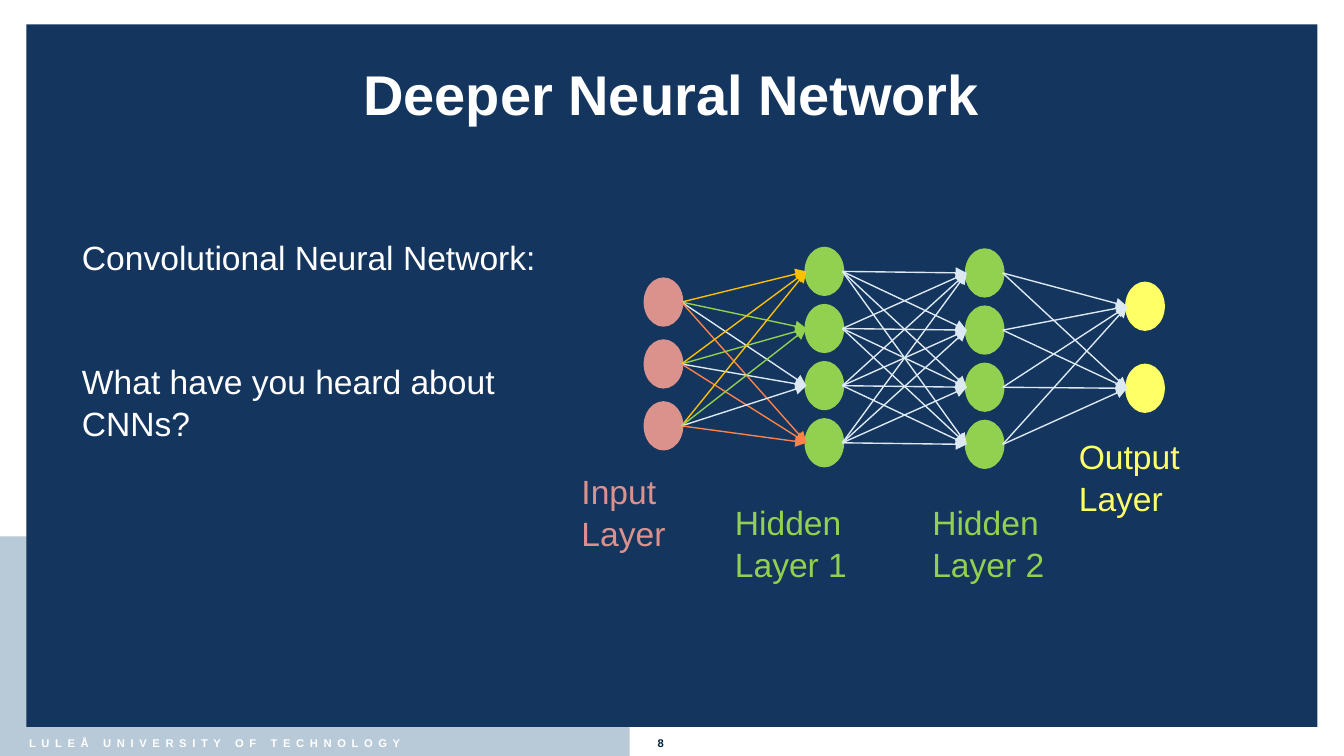
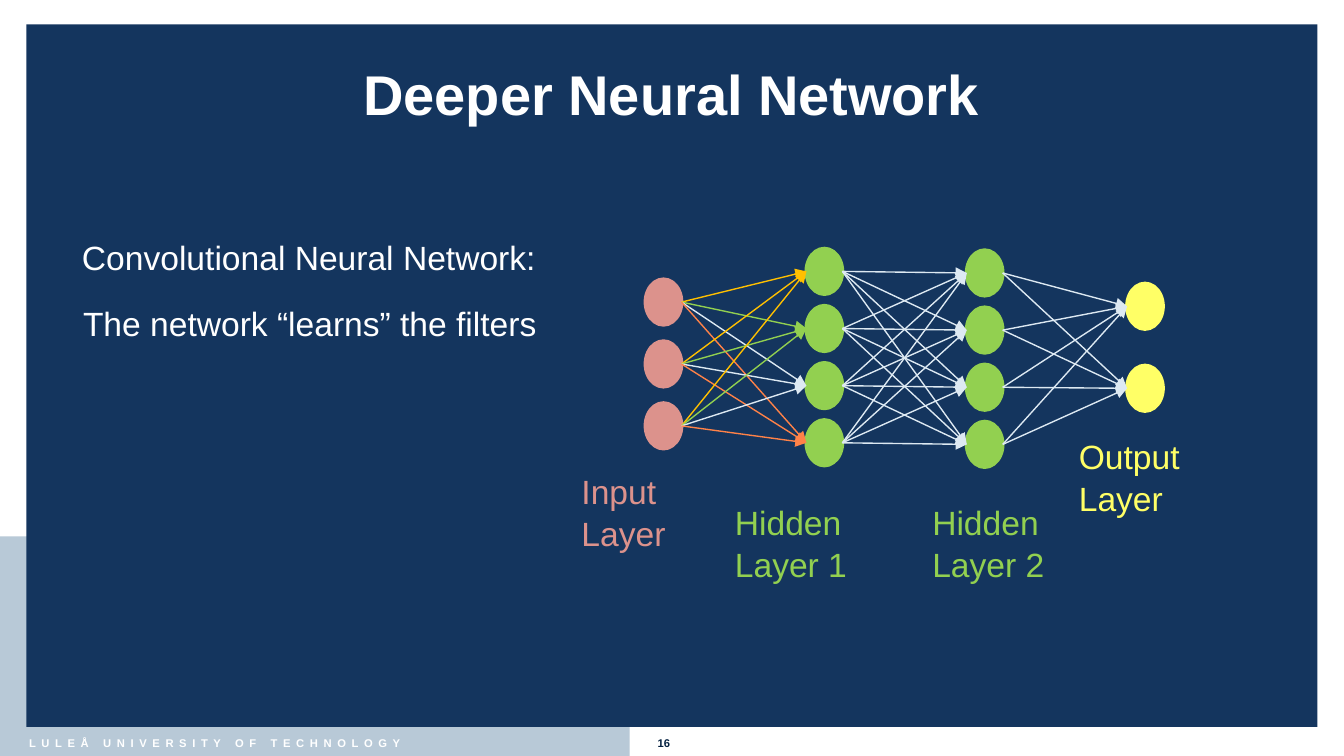
from itertools import product

from lxml.etree import SubElement
from pptx import Presentation
from pptx.dml.color import RGBColor
from pptx.enum.shapes import MSO_CONNECTOR, MSO_SHAPE
from pptx.enum.text import MSO_ANCHOR, MSO_AUTO_SIZE, PP_ALIGN
from pptx.oxml.ns import qn
from pptx.util import Cm, Pt

WHITE = "FFFFFF"
NAVY = "14355E"
BAND = "B8C9D7"
INK = "032040"
ROSE = "DC928C"
GREEN = "92D050"
YELLOW = "FFFF66"
PALE = "DDE9F2"
AMBER = "FFC000"
ORANGE = "FF8248"

NODE_WIDTH, NODE_HEIGHT = 0.68, 0.86
BODY_WIDTH = 9.45

# left, first top, pitch, node count, colour
LAYERS = [
    (12.2, 5.28, 1.17, 3, ROSE),
    (15.24, 4.7, 1.08, 4, GREEN),
    (18.27, 4.73, 1.08, 4, GREEN),
    (21.3, 5.36, 1.55, 2, YELLOW),
]
# arrow colour for each target node
ARROW_COLOURS = [[AMBER, GREEN, PALE, ORANGE], [PALE] * 4, [PALE] * 2]
LABELS = [
    ("Input Layer", 10.74, 8.74, 3.58, ROSE),
    ("Hidden Layer 1", 13.64, 9.32, 3.91, GREEN),
    ("Hidden Layer 2", 17.37, 9.32, 3.91, GREEN),
    ("Output Layer", 20.14, 8.08, 3.58, YELLOW),
]


def rgb(colour):
    return RGBColor.from_string(colour)


class Deck:
    font = "Arial"

    def __init__(self):
        self.presentation = Presentation()
        self.presentation.slide_width = Cm(25.4)
        self.presentation.slide_height = Cm(14.29)
        self.slide = None

    def new_slide(self, title, number):
        blank = self.presentation.slide_layouts[6]
        self.slide = self.presentation.slides.add_slide(blank)
        self.shape(MSO_SHAPE.RECTANGLE, 0, 10.14, 11.9, 4.15, BAND)
        self.shape(MSO_SHAPE.RECTANGLE, 0.5, 0.46, 24.4, 13.28, NAVY)
        footer = dict(size=6, bold=True, line_spacing=1, before=1.2)
        self.text("LULEÅ UNIVERSITY OF TECHNOLOGY", 0.3, 13.79, 11.5, 0.5,
                  tracking=3, **footer)
        self.text(str(number), 12.18, 13.79, 1.2, 0.5, INK, **footer)
        heading = self.text(title, 0.89, 0.51, 23.6, 2.51, size=30, bold=True,
                            line_spacing=1)
        heading.vertical_anchor = MSO_ANCHOR.MIDDLE
        heading.paragraphs[0].alignment = PP_ALIGN.CENTER

    def shape(self, preset, left, top, width, height, colour, outline=None):
        shape = self.slide.shapes.add_shape(
            preset, Cm(left), Cm(top), Cm(width), Cm(height))
        shape.shadow.inherit = False
        shape.fill.solid()
        shape.fill.fore_color.rgb = rgb(colour)
        if outline:
            shape.line.color.rgb = rgb(colour)
            shape.line.width = Pt(outline)
        else:
            shape.line.fill.background()

    def arrow(self, start, end, colour):
        arrow = self.slide.shapes.add_connector(
            MSO_CONNECTOR.STRAIGHT, *map(Cm, start + end))
        arrow.line.color.rgb = rgb(colour)
        arrow.line.width = Pt(0.75)
        properties = arrow._element.spPr
        SubElement(properties.find(qn("a:ln")), qn("a:tailEnd"), type="triangle")
        SubElement(properties, qn("a:effectLst"))

    def text(self, content, left, top, width, height, colour=WHITE, size=18,
             bold=False, line_spacing=1.05, before=0, tracking=0):
        box = self.slide.shapes.add_textbox(
            Cm(left), Cm(top), Cm(width), Cm(height))
        frame = box.text_frame
        frame.word_wrap = True
        frame.auto_size = MSO_AUTO_SIZE.NONE
        frame.text = content
        for paragraph in frame.paragraphs:
            paragraph.line_spacing = line_spacing
            paragraph.space_before = Pt(before)
            for run in paragraph.runs:
                run.font.name = self.font
                run.font.size = Pt(size)
                run.font.bold = bold
                run.font.color.rgb = rgb(colour)
                if tracking:
                    run._r.get_or_add_rPr().set("spc", str(tracking * 100))
        return frame

    def network(self):
        columns = []
        for left, first_top, pitch, count, colour in LAYERS:
            tops = [first_top + pitch * row for row in range(count)]
            for top in tops:
                self.shape(MSO_SHAPE.OVAL, left, top, NODE_WIDTH, NODE_HEIGHT,
                           colour, outline=2)
            columns.append([(left, top + NODE_HEIGHT / 2) for top in tops])
        for sources, targets, colours in zip(columns, columns[1:], ARROW_COLOURS):
            for (left, middle), (target, colour) in product(
                    sources, zip(targets, colours)):
                self.arrow((left + NODE_WIDTH, middle), target, colour)
        for label, left, top, width, colour in LABELS:
            self.text(label, left, top, width, 1.02, colour)


def main():
    deck = Deck()
    title = "Deeper Neural Network"
    topic = "Convolutional Neural Network:"

    deck.new_slide(title, 8)
    deck.network()
    question = deck.text(topic + "\nWhat have you heard about CNNs?",
                         1.3, 4.32, BODY_WIDTH, 4.88)
    question.paragraphs[1].space_before = Pt(43.4)

    deck.new_slide(title, 16)
    deck.network()
    deck.text(topic, 1.3, 4.32, BODY_WIDTH, 1.8)
    deck.text("The network “learns” the filters", 1.32, 5.56, BODY_WIDTH, 1.8)

    deck.presentation.save("out.pptx")


if __name__ == "__main__":
    main()
